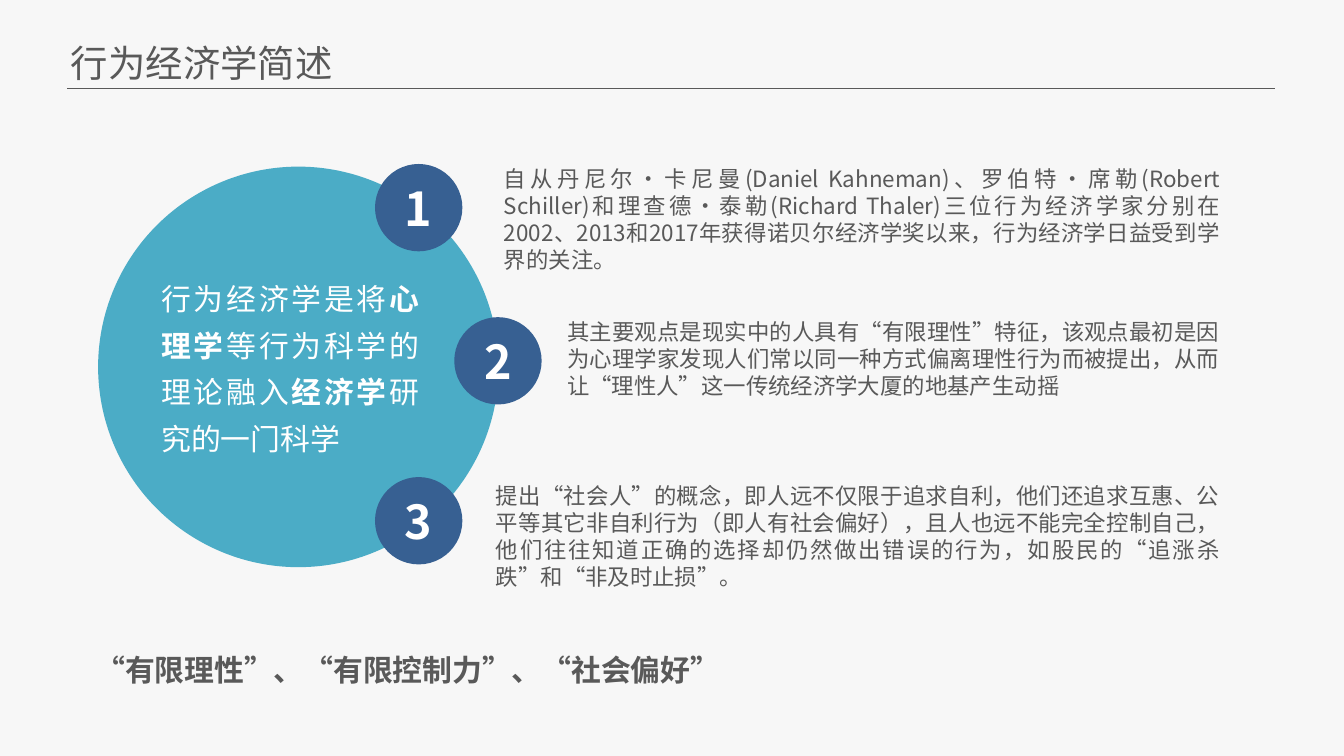
from dataclasses import dataclass

from lxml.etree import SubElement
from pptx import Presentation
from pptx.dml.color import RGBColor
from pptx.enum.shapes import MSO_CONNECTOR as Connector, MSO_SHAPE as Shape
from pptx.enum.text import MSO_ANCHOR as Anchor, MSO_AUTO_SIZE as AutoSize, PP_ALIGN as Align
from pptx.oxml.ns import qn
from pptx.util import Inches, Pt


@dataclass(frozen=True)
class Theme:
    font: str = "Noto Sans CJK SC"
    background: str = "F7F7F7"
    ink: str = "595959"
    white: str = "FFFFFF"
    disc: str = "4BACC6"
    badge: str = "376092"
    title_size: int = 20
    badge_size: int = 25
    lead_size: int = 16
    body_size: int = 12
    rule_width: float = 0.8


class SlideBuilder:
    def __init__(self, page, theme):
        self.page = page
        self.theme = theme
        fill = page.background.fill
        fill.solid()
        fill.fore_color.rgb = RGBColor.from_string(theme.background)

    def style(self, para, size, color, bold=False):
        font = para.font
        font.size = Pt(size)
        font.bold = bold
        font.color.rgb = RGBColor.from_string(color)
        font.name = self.theme.font
        # East Asian characters take their own typeface entry
        properties = para._p.pPr.find(qn("a:defRPr"))
        SubElement(properties, qn("a:ea"), typeface=self.theme.font)

    def rule(self, left, right, top):
        line = self.page.shapes.add_connector(
            Connector.STRAIGHT, Inches(left), Inches(top), Inches(right), Inches(top))
        line.line.color.rgb = RGBColor.from_string(self.theme.ink)
        line.line.width = Pt(self.theme.rule_width)
        SubElement(line._element.spPr, qn("a:effectLst"))

    def circle(self, left, top, size, color, label=None):
        disc = self.page.shapes.add_shape(
            Shape.OVAL, Inches(left), Inches(top), Inches(size), Inches(size))
        disc.shadow.inherit = False
        disc.fill.solid()
        disc.fill.fore_color.rgb = RGBColor.from_string(color)
        disc.line.fill.background()
        if label:
            disc.text_frame.vertical_anchor = Anchor.MIDDLE
            para = disc.text_frame.paragraphs[0]
            para.text = label
            para.alignment = Align.CENTER
            self.style(para, self.theme.badge_size, self.theme.white, bold=True)

    def text(self, area, spans, size, color, bold=False, spacing=None, title=False):
        """Write one paragraph; spans is a list of (text, is_bold) pairs or a string."""
        box = self.page.shapes.add_textbox(*(Inches(value) for value in area))
        frame = box.text_frame
        frame.word_wrap = not title
        frame.auto_size = AutoSize.SHAPE_TO_FIT_TEXT
        para = frame.paragraphs[0]
        if not title:
            frame.margin_left = frame.margin_right = 0
            frame.margin_top = frame.margin_bottom = 0
            para.alignment = Align.JUSTIFY
        if spacing:
            para.line_spacing = spacing
        self.style(para, size, color, bold)
        if isinstance(spans, str):
            para.add_run().text = spans
            return
        for words, strong in spans:
            span = para.add_run()
            span.text = words
            span.font.bold = strong


LEAD = [
    ("行为经济学是将", False),
    ("心理学", True),
    ("等行为科学的理论融入", False),
    ("经济学", True),
    ("研究的一门科学", False),
]

# Badge left and top, text left, top and height, wording
POINTS = [
    (2.79, 1.22, 3.75, 1.23, 0.61,
     "自从丹尼尔·卡尼曼(Daniel Kahneman)、罗伯特·席勒(Robert Schiller)"
     "和理查德·泰勒(Richard Thaler)三位行为经济学家分别在2002、2013和2017年"
     "获得诺贝尔经济学奖以来，行为经济学日益受到学界的关注。 "),
    (3.38, 2.36, 4.22, 2.37, 0.61,
     "其主要观点是现实中的人具有“有限理性”特征，该观点最初是因为心理学家发现"
     "人们常以同一种方式偏离理性行为而被提出，从而让“理性人”这一传统经济学"
     "大厦的地基产生动摇 "),
    (2.79, 3.55, 3.69, 3.59, 0.81,
     "提出“社会人”的概念，即人远不仅限于追求自利，他们还追求互惠、公平等其它"
     "非自利行为（即人有社会偏好），且人也远不能完全控制自己，他们往往知道正确的"
     "选择却仍然做出错误的行为，如股民的“追涨杀跌”和“非及时止损”。"),
]
TEXT_RIGHT = 9.08
BADGE = 0.65


def main():
    deck = Presentation()
    # Widescreen page, 16:9
    deck.slide_width = Inches(10)
    deck.slide_height = deck.slide_width * 9 // 16
    theme = Theme()
    builder = SlideBuilder(deck.slides.add_slide(deck.slide_layouts[6]), theme)

    # Heading
    builder.rule(0.5, 9.49, 0.66)

    # Main disc
    builder.circle(0.73, 1.24, 2.98, theme.disc)

    # Numbered points
    for number, point in enumerate(POINTS, start=1):
        badge_left, badge_top, left, top, height, words = point
        builder.circle(badge_left, badge_top, BADGE, theme.badge, str(number))
        builder.text((left, top, TEXT_RIGHT - left, height), words,
                     theme.body_size, theme.ink)

    # Definition on the disc, title and key terms
    builder.text((1.2, 2.01, 1.92, 1.37), LEAD, theme.lead_size, theme.white, spacing=1.3)
    builder.text((0.43, 0.25, 2.17, 0.44), "行为经济学简述",
                 theme.title_size, theme.ink, title=True)
    builder.text((0.71, 4.85, 4.8, 0.27), "“有限理性”、“有限控制力”、“社会偏好”",
                 theme.lead_size, theme.ink, bold=True)

    deck.save("out.pptx")


if __name__ == "__main__":
    main()
